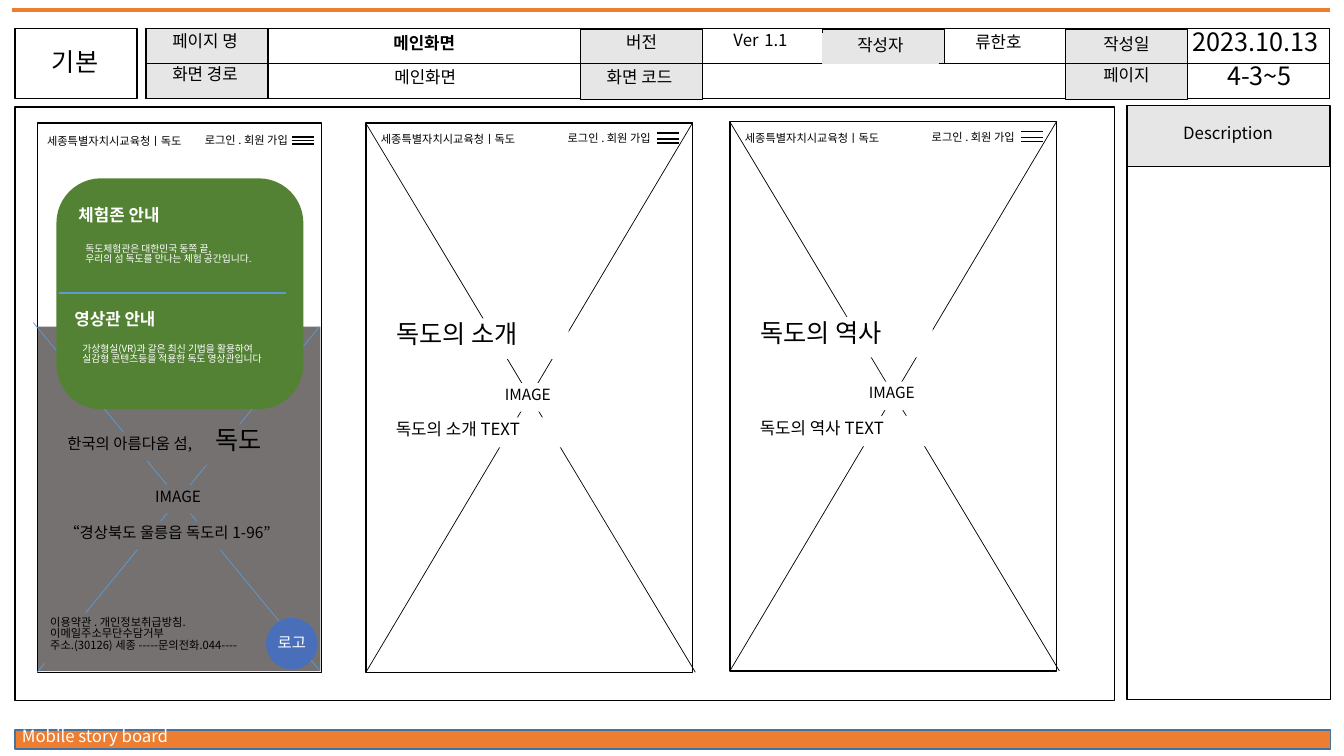
from lxml import etree
from pptx import Presentation
from pptx.dml.color import RGBColor
from pptx.enum.shapes import MSO_CONNECTOR, MSO_SHAPE
from pptx.enum.text import MSO_AUTO_SIZE, PP_ALIGN
from pptx.oxml.ns import qn
from pptx.util import Pt

LEFT, CENTER, RIGHT = PP_ALIGN.LEFT, PP_ALIGN.CENTER, PP_ALIGN.RIGHT
RECT, ROUNDED, OVAL = MSO_SHAPE.RECTANGLE, MSO_SHAPE.ROUNDED_RECTANGLE, MSO_SHAPE.OVAL
STRAIGHT = MSO_CONNECTOR.STRAIGHT
FIT_SHAPE = MSO_AUTO_SIZE.SHAPE_TO_FIT_TEXT

BLACK = RGBColor(0x00, 0x00, 0x00)
WHITE = RGBColor(0xFF, 0xFF, 0xFF)
ORANGE = RGBColor(0xED, 0x7D, 0x31)
NAVY = RGBColor(0x43, 0x73, 0x9E)
BLUE = RGBColor(0x5B, 0x9B, 0xD5)
LOGO_BLUE = RGBColor(0x49, 0x6F, 0xBB)
GREEN = RGBColor(0x54, 0x82, 0x35)
GRAY = RGBColor(0x76, 0x71, 0x71)
PALE = RGBColor(0xE7, 0xE6, 0xE6)

FONT = "Noto Sans CJK KR"
LINE_SPACING = 0.83
LINE_HEIGHT = 1.2
INSETS = 7.2

# Frames: left, top, width, height
FRAMES = [
    (10.8, 20.2, 87.1, 50.4),
    (104.4, 20.2, 845.3, 50.4),
    (10.8, 76.3, 785.5, 424.1),
    (26.6, 87.8, 203, 392.4),
    (805, 75.6, 145.4, 424.1),
]
SHADED_FRAMES = [
    (104.4, 20.2, 87.1, 50.4),
    (414.7, 20.9, 87.1, 50.4),
    (587.5, 20.9, 87.1, 24.5),
    (761, 20.9, 87.1, 50.4),
    (805, 75.6, 144.7, 43.2),
]
# Centred labels: text, left, top, width, size, bold
HEADER_LABELS = [
    ("기본", 12.2, 33.1, 82.8, 18, False),
    ("페이지 명", 105.1, 20.9, 82.8, 12, False),
    ("화면 경로", 105.1, 44.6, 82.8, 12, False),
    ("버전", 416.9, 21.6, 82.8, 12, False),
    ("화면 코드", 415.4, 46.8, 82.8, 12, False),
    ("작성일", 763.2, 23, 82.8, 12, False),
    ("페이지", 763.2, 45.4, 82.8, 12, False),
    ("류한호", 640.8, 21.6, 144.7, 12, False),
    ("2023.10.13", 824.4, 18.7, 144.7, 18, False),
    ("메인화면", 220.3, 22.3, 165.6, 12, True),
    ("메인화면", 221, 46.8, 165.6, 12, False),
    ("4-3~5", 849.6, 43.2, 100.1, 18, False),
    ("Description", 815, 86.4, 124.6, 12, False),
]
VERSION_PARTS = [("Ver", 12), (" ", 18), ("1.1", 12)]

SITE, LOGIN = "세종특별자치시교육청ㅣ독도", "로그인 . 회원 가입 "

# Green card: text, left, top, width, size, bold
CARD_LABELS = [
    ("체험존 안내", 49, 145.4, 83.5, 12, True),
    ("영상관 안내", 46.1, 219.6, 83.5, 12, True),
    ("독도체험관은 대한민국 동쪽 끝,\n우리의 섬 독도를 만나는 체험 공간입니다.",
     54, 171.4, 146.2, 7, False),
    ("가상형실(VR)과 같은 최신 기법을 활용하여\n실감형 콘텐츠등을 적용한 독도 영상관입니다",
     51.8, 242.6, 158.4, 7, False),
]
# Gray area of the main screen: text, left, top, width, size, wrap
MAIN_LABELS = [
    ("한국의 아름다움 섬,", 41, 308.9, 113.8, 11, False),
    ("IMAGE", 103.7, 346.3, 49, 11, False),
    ("이용약관 . 개인정보취급방침.\v이메일주소무단수담거부\n"
     "주소.(30126) 세종 -----문의전화.044----", 28.8, 437.8, 157.7, 8, True),
    ("독도", 146.9, 303.1, 51.1, 18, False),
    ("“경상북도 울릉읍 독도리 1-96”", 38.9, 372.2, 168.5, 11, False),
]
TOPICS = ["독도의 소개", "독도의 역사"]
SCREEN_LEFT, SCREEN_TOP, SCREEN_WIDTH, SCREEN_HEIGHT = 261.4, 87.8, 233.3, 392.4
SCREEN_STEP_X, SCREEN_STEP_Y = 260, -1

deck = Presentation()
deck.slide_width, deck.slide_height = Pt(960), Pt(540)
slide = deck.slides.add_slide(deck.slide_layouts[6])


def box(left, top, width, height, fill=None, line=None, preset=RECT):
    """Add a preset shape with optional fill and 1 pt outline."""
    shape = slide.shapes.add_shape(preset, Pt(left), Pt(top), Pt(width), Pt(height))
    shape.shadow.inherit = False
    if fill is None:
        shape.fill.background()
    else:
        shape.fill.solid()
        shape.fill.fore_color.rgb = fill
    if line is None:
        shape.line.fill.background()
    else:
        shape.line.color.rgb = line
        shape.line.width = Pt(1)
    return shape


def rule(x1, y1, x2, y2, color=BLACK, weight=0.5):
    """Add a straight line without shadow."""
    line = slide.shapes.add_connector(STRAIGHT, Pt(x1), Pt(y1), Pt(x2), Pt(y2))
    line.line.color.rgb = color
    line.line.width = Pt(weight)
    etree.SubElement(line._element.spPr, qn("a:effectLst"))


def style(font, size, color, bold=False):
    """Set size, colour and typeface, East Asian text included."""
    font.size, font.bold, font.name = Pt(size), bold, FONT
    font.color.rgb = color
    east_asian = etree.SubElement(font._element, qn("a:ea"))
    east_asian.set("typeface", FONT)


def label(text, left, top, width, size, bold=False, color=BLACK,
          align=LEFT, fill=None, wrap=True):
    """Add a text box as tall as its lines."""
    lines = text.replace("\v", "\n").count("\n") + 1
    height = lines * size * LINE_HEIGHT + INSETS
    holder = slide.shapes.add_textbox(Pt(left), Pt(top), Pt(width), Pt(height))
    if fill is not None:
        holder.fill.solid()
        holder.fill.fore_color.rgb = fill
    frame = holder.text_frame
    frame.word_wrap, frame.auto_size = wrap, FIT_SHAPE
    frame.text = text
    for paragraph in frame.paragraphs:
        paragraph.alignment, paragraph.line_spacing = align, LINE_SPACING
        style(paragraph.font, size, color, bold)
    return holder


def top_bar(site_left, site_top, login_left, login_top, menu_left, menu_tops):
    """Add site name, login links and the three-bar menu of a screen."""
    label(SITE, site_left, site_top, 134.6, 8)
    label(LOGIN, login_left, login_top, 89.3, 8, align=RIGHT)
    for y in menu_tops:
        rule(menu_left, y, menu_left + 15.5, y, weight=1)


def topic_screen(topic, dx, dy):
    """Add a crossed image screen with its title and text."""
    left, top = SCREEN_LEFT + dx, SCREEN_TOP + dy
    right, bottom = left + SCREEN_WIDTH, top + SCREEN_HEIGHT
    box(left, top, SCREEN_WIDTH, SCREEN_HEIGHT, line=BLACK)
    top_bar(left + 3.6, top + 5, left + 123.1, top + 4.4, left + 208,
            [top + y for y in (7.2, 11.5, 14.4)])
    rule(left, bottom, right, top)
    rule(right + 2, bottom, left + 0.7, top + 1.5)
    label("IMAGE", left + 92.1, top + 185.8, 49, 11, fill=WHITE, wrap=False)
    label(topic, left + 14.4, top + 139.7, 130.3, 18, fill=WHITE)
    label(topic + " TEXT", left + 14.2, top + 210.3, 130.3, 12, fill=WHITE)


# Page frame and header
box(26.6, 233.3, 202.3, 246.2, fill=GRAY)
rule(8.6, 7.2, 949.7, 7.2, ORANGE, 3)
box(10.8, 521.3, 939.6, 13.7, fill=ORANGE, line=NAVY)
label("Mobile story board", 8.6, 517, 230.4, 12, color=WHITE)
for frame_area in FRAMES:
    box(*frame_area, line=BLACK)
for frame_area in SHADED_FRAMES:
    box(*frame_area, fill=PALE, line=BLACK)
rule(104.4, 45.4, 949.7, 45.4)
for header_label in HEADER_LABELS:
    label(*header_label, align=CENTER)
author = label("작성자", 587.5, 23.8, 82.8, 12, align=CENTER)
author.line.color.rgb = PALE
author.line.width = Pt(0.75)

version = label("", 470.9, 15.1, 144.7, 18, align=CENTER).text_frame.paragraphs[0]
for part, part_size in VERSION_PARTS:
    version_run = version.add_run()
    version_run.text = part
    style(version_run.font, part_size, BLACK)

# Main screen
top_bar(26.6, 94.3, 125.3, 93.6, 208.8, (97.9, 100.4, 103))
rule(23.8, 230.4, 228.2, 478.8, BLUE)
rule(228.2, 233.3, 26.6, 480.2, BLUE)
card = box(40.3, 127.4, 176.4, 164.9, fill=GREEN, preset=ROUNDED)
card.adjustments[0] = 0.193
rule(42.5, 209.5, 204.5, 209.5, BLUE, 1.5)
for card_label in CARD_LABELS:
    label(*card_label, color=WHITE)
for *main_label, wraps in MAIN_LABELS:
    label(*main_label, fill=GRAY, wrap=wraps)
box(190.1, 441.4, 36.7, 36.7, fill=LOGO_BLUE, preset=OVAL)
label("로고", 182.2, 450.7, 52.6, 11, color=WHITE, align=CENTER)

# Topic screens
for index, topic_name in enumerate(TOPICS):
    topic_screen(topic_name, index * SCREEN_STEP_X, index * SCREEN_STEP_Y)

deck.save("out.pptx")
